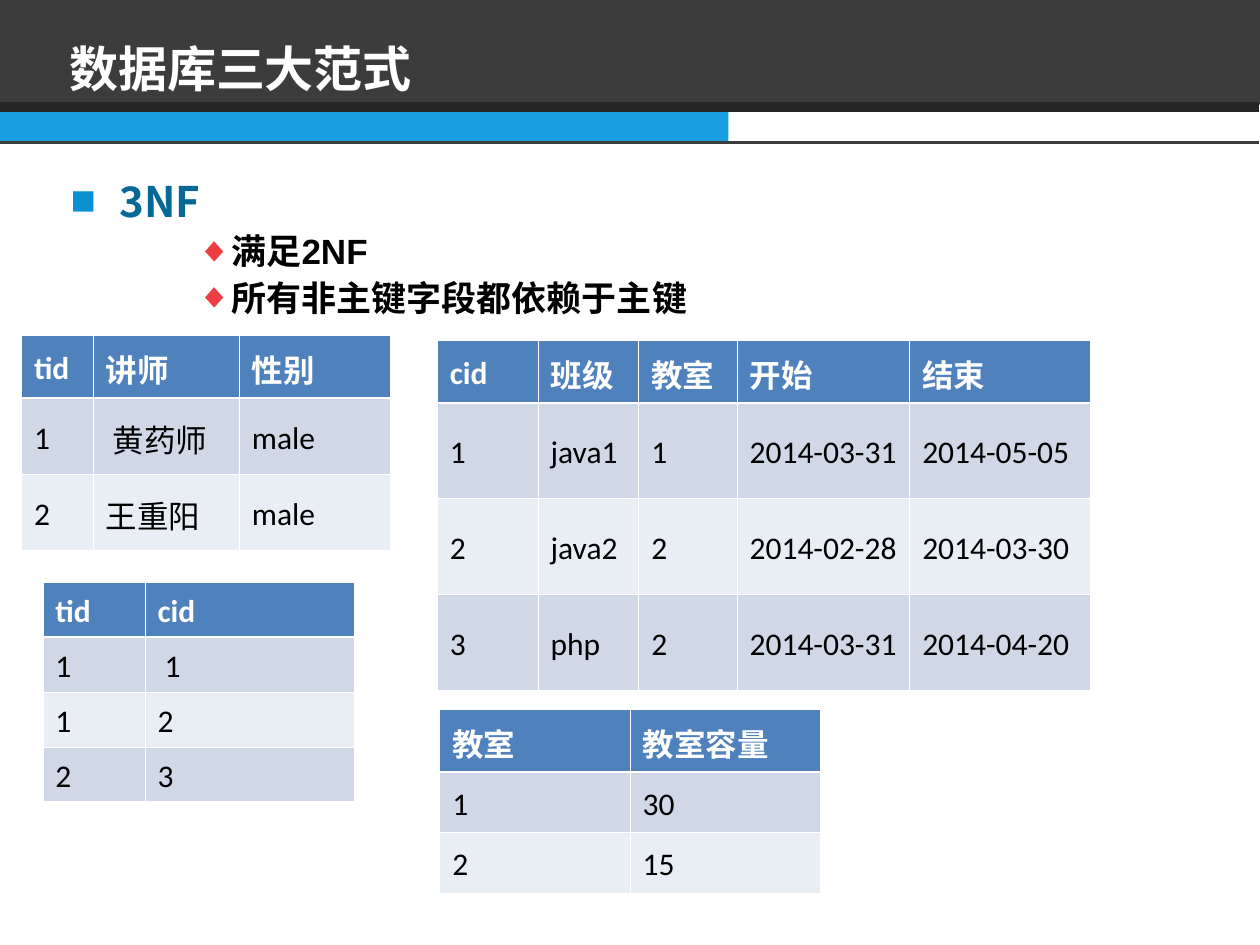
from lxml.etree import SubElement
from pptx import Presentation
from pptx.dml.color import RGBColor
from pptx.enum.shapes import MSO_CONNECTOR, MSO_SHAPE
from pptx.enum.text import MSO_ANCHOR, MSO_AUTO_SIZE, PP_ALIGN
from pptx.oxml.ns import qn
from pptx.util import Inches, Pt

COLORS = {
    "white": "FFFFFF", "black": "000000", "banner": "3C3C3C", "edge": "262626",
    "accent": "199EE1", "heading": "056896", "square": "0890D0", "diamond": "ED3E43",
    "header": "4F81BD", "odd row": "D0D8E8", "even row": "E9EDF4",
}
HAN_FONT = "Noto Sans CJK SC"


def color(name):
    return RGBColor.from_string(COLORS[name])


def write(paragraph, text, font_name, size, color_name, bold, line_spacing, space_before):
    paragraph.line_spacing = line_spacing
    paragraph.space_before = Pt(space_before)
    run = paragraph.add_run()
    run.text = text
    run.font.name = font_name
    run.font.size = Pt(size)
    run.font.bold = bold
    run.font.color.rgb = color(color_name)
    SubElement(run.font._element, qn("a:ea"), typeface=HAN_FONT)


presentation = Presentation()
presentation.slide_width, presentation.slide_height = Inches(10), Inches(7.5)
slide = presentation.slides.add_slide(presentation.slide_layouts[1])
shapes = slide.shapes
title, body = shapes.title, slide.placeholders[1]

# Banner bars and rules
for top, width, height, fill in [(-0.01, 10.01, 0.84, "banner"), (0.85, 5.79, 0.29, "accent")]:
    bar = shapes.add_shape(MSO_SHAPE.RECTANGLE, Inches(-0.01), Inches(top),
                           Inches(width), Inches(height))
    bar.shadow.inherit = False
    bar.fill.solid()
    bar.fill.fore_color.rgb = color(fill)
    bar.line.fill.background()

for y, line_color, width in [(1.13, "banner", 1.5), (0.85, "edge", 5.5)]:
    rule = shapes.add_connector(MSO_CONNECTOR.STRAIGHT, Inches(-0.01), Inches(y),
                                Inches(9.99), Inches(y))
    rule.line.color.rgb = color(line_color)
    rule.line.width = Pt(width)
    SubElement(rule._element.spPr, qn("a:effectLst"))

# Title and list, in front of the banner
for placeholder, left, top, height in [(title, 0.45, 0.05, 0.78), (body, 0.46, 1.3, 5.86)]:
    placeholder.left, placeholder.top = Inches(left), Inches(top)
    placeholder.width, placeholder.height = Inches(9.07), Inches(height)
    placeholder.text_frame.auto_size = MSO_AUTO_SIZE.NONE
    shapes._spTree.append(placeholder._element)

title.text_frame.vertical_anchor = MSO_ANCHOR.BOTTOM
title_paragraph = title.text_frame.paragraphs[0]
title_paragraph.alignment = PP_ALIGN.LEFT
write(title_paragraph, "数据库三大范式", HAN_FONT, 28, "white", True, 0.9, 0)

# text, level, indent, hanging, bullet, bullet colour, font, size, colour, spacing, before
heading_style = (0, 0.39, 0.39, "■", "square", HAN_FONT, 24, "heading", 1.1, 6)
point_style = (2, 1.25, 0.25, "◆", "diamond", "Arial", 20, "black", 0.9, 5)
points = [("3NF", heading_style), ("满足2NF", point_style),
          ("所有非主键字段都依赖于主键", point_style)]
for index, (text, style) in enumerate(points):
    level, indent, hanging, bullet, bullet_color, font, size, text_color, spacing, before = style
    frame = body.text_frame
    paragraph = frame.add_paragraph() if index else frame.paragraphs[0]
    paragraph.level = level
    paragraph.alignment = PP_ALIGN.LEFT
    write(paragraph, text, font, size, text_color, True, spacing, before)
    properties = paragraph._p.get_or_add_pPr()
    properties.set("marL", str(Inches(indent)))
    properties.set("indent", str(-Inches(hanging)))
    SubElement(SubElement(properties, qn("a:buClr")), qn("a:srgbClr"), val=COLORS[bullet_color])
    SubElement(properties, qn("a:buFont"), typeface="Arial")
    SubElement(properties, qn("a:buChar"), char=bullet)

# Tables: left, top, column widths, row heights, rows of text
tables = [
    (3.47, 2.7, [0.8, 0.8, 0.78, 1.37, 1.43], [0.45] + [0.76] * 3, [
        ["cid", "班级", "教室", "开始", "结束"],
        ["1", "java1", "1", "2014-03-31", "2014-05-05"],
        ["2", "java2", "2", "2014-02-28", "2014-03-30"],
        ["3", "php", "2", "2014-03-31", "2014-04-20"]]),
    (0.17, 2.66, [0.57, 1.16, 1.2], [0.43, 0.61, 0.6], [
        ["tid", "讲师", "性别"], ["1", " 黄药师", "male"], ["2", "王重阳", "male"]]),
    (0.34, 4.62, [0.81, 1.66], [0.43] * 4, [
        ["tid", "cid"], ["1", " 1"], ["1", "2"], ["2", "3"]]),
    (3.49, 5.63, [1.51] * 2, [0.43, 0.48, 0.48], [
        ["教室", "教室容量"], ["1", "30"], ["2", "15"]]),
]
for left, top, widths, heights, rows in tables:
    table = shapes.add_table(len(rows), len(widths), Inches(left), Inches(top),
                             Inches(sum(widths)), Inches(sum(heights))).table
    for column, width in zip(table.columns, widths):
        column.width = Inches(width)
    for row_index, texts in enumerate(rows):
        table.rows[row_index].height = Inches(heights[row_index])
        is_header = row_index == 0
        fill = "header" if is_header else ("even row", "odd row")[row_index % 2]
        for column_index, text in enumerate(texts):
            cell = table.cell(row_index, column_index)
            cell.vertical_anchor = MSO_ANCHOR.MIDDLE
            paragraph = cell.text_frame.paragraphs[0]
            paragraph.alignment = PP_ALIGN.JUSTIFY
            write(paragraph, text, "Calibri", 18, "white" if is_header else "black",
                  is_header, 1.1, 6)
            # White borders, thicker below the header
            cell_properties = cell._tc.get_or_add_tcPr()
            for side in ("L", "R", "T", "B"):
                thick = (row_index, side) in [(0, "B"), (1, "T")]
                border = SubElement(cell_properties, qn(f"a:ln{side}"),
                                    w=str(Pt(1.47 if thick else 0.45)))
                SubElement(SubElement(border, qn("a:solidFill")), qn("a:srgbClr"),
                           val=COLORS["white"])
            cell.fill.solid()
            cell.fill.fore_color.rgb = color(fill)

presentation.save("out.pptx")
